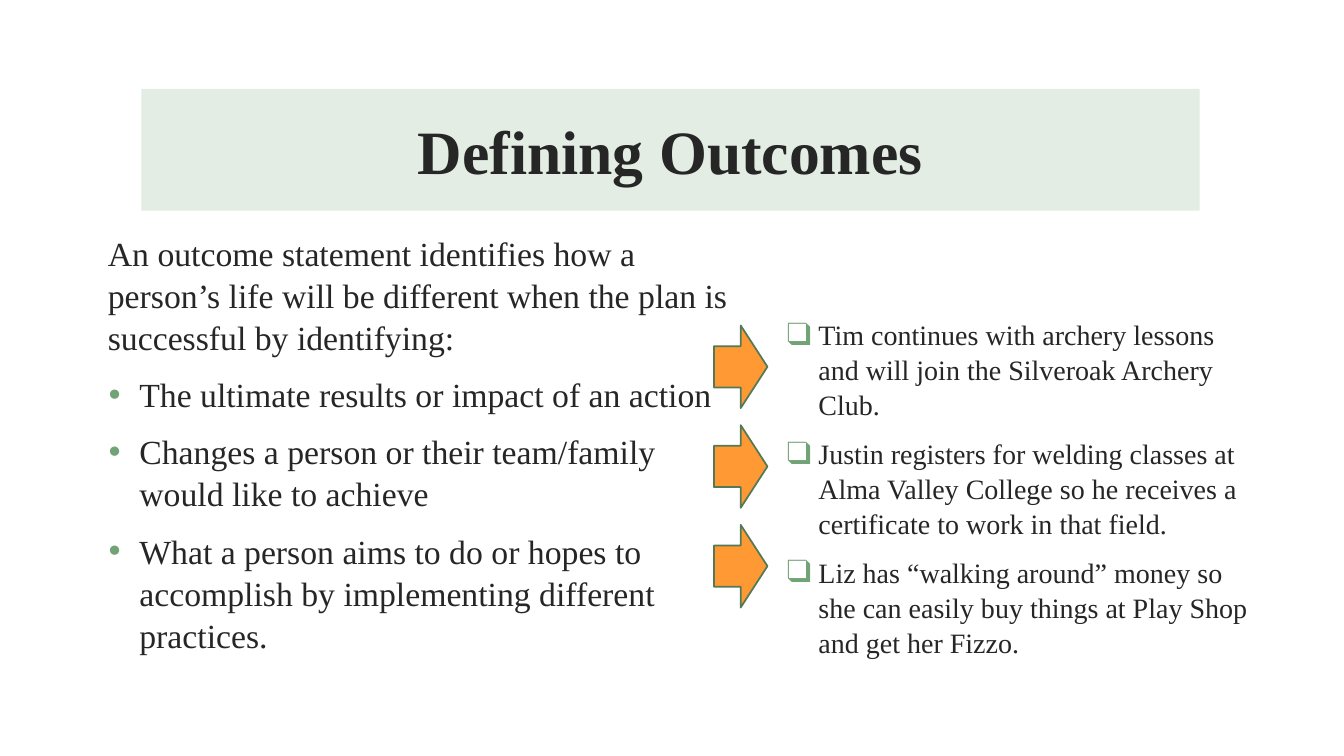
from lxml import etree
from pptx import Presentation
from pptx.dml.color import RGBColor
from pptx.enum.shapes import MSO_SHAPE
from pptx.enum.text import MSO_ANCHOR, PP_ALIGN
from pptx.oxml.ns import qn
from pptx.util import Pt

FONT = "Times New Roman"
INK, BAND, GREEN = "262626", "E3EDE4", "72A376"
ORANGE, ARROW_EDGE = "FF9933", "547957"
INDENT = 22.5

INTRO = ("An outcome statement identifies how a person’s life will be different "
         "when the plan is successful by identifying:")
CRITERIA = [
    "The ultimate results or impact of an action",
    "Changes a person or their team/family would like to achieve",
    "What a person aims to do or hopes to accomplish by implementing different practices.",
]
EXAMPLES = [
    "Tim continues with archery lessons and will join the Silveroak Archery Club.",
    "Justin registers for welding classes at Alma Valley College so he receives a "
    "certificate to work in that field.",
    "Liz has “walking around” money so she can easily buy things at Play Shop "
    "and get her Fizzo.",
]


def color(hex_value):
    return RGBColor.from_string(hex_value)


def add_bullet(paragraph, symbol):
    """Give the paragraph a hanging indent and a green bullet."""
    properties = paragraph._p.get_or_add_pPr()
    properties.set("marL", str(Pt(INDENT)))
    properties.set("indent", str(-Pt(INDENT)))
    bullet_color = etree.SubElement(properties, qn("a:buClr"))
    etree.SubElement(bullet_color, qn("a:srgbClr"), val=GREEN)
    etree.SubElement(properties, qn("a:buSzPct"), val="115000")
    etree.SubElement(properties, qn("a:buFont"), typeface=FONT)
    etree.SubElement(properties, qn("a:buChar"), char=symbol)


class OutcomeSlide:
    def __init__(self, slide):
        self.shapes = slide.shapes

    def style(self, paragraph, size, bold=False):
        for run in paragraph.runs:
            run.font.name = FONT
            run.font.size = Pt(size)
            run.font.bold = bold
            run.font.color.rgb = color(INK)

    def block(self, preset, left, top, width, height, fill, edge=None):
        block = self.shapes.add_shape(preset, Pt(left), Pt(top), Pt(width), Pt(height))
        block.shadow.inherit = False
        block.fill.solid()
        block.fill.fore_color.rgb = color(fill)
        if edge:
            block.line.color.rgb = color(edge)
            block.line.width = Pt(1.25)
        else:
            block.line.fill.background()
        return block

    def title(self, text, left, top, width, height):
        band = self.block(MSO_SHAPE.RECTANGLE, left, top, width, height, BAND)
        frame = band.text_frame
        frame.text = text
        frame.vertical_anchor = MSO_ANCHOR.MIDDLE
        frame.paragraphs[0].alignment = PP_ALIGN.CENTER
        self.style(frame.paragraphs[0], 44, bold=True)

    def passage(self, entries, left, top, width, height, size):
        """Add a text box from (bullet symbol or None, text) pairs."""
        box = self.shapes.add_textbox(Pt(left), Pt(top), Pt(width), Pt(height))
        frame = box.text_frame
        frame.word_wrap = True
        frame.text = "\n".join(text for _, text in entries)
        for paragraph, (symbol, _) in zip(frame.paragraphs, entries):
            paragraph.line_spacing = 1.04
            paragraph.space_before = Pt(size * 0.2)
            paragraph.space_after = Pt(6)
            if symbol:
                add_bullet(paragraph, symbol)
            self.style(paragraph, size)

    def arrow(self, left, top):
        self.block(MSO_SHAPE.RIGHT_ARROW, left, top, 38.2, 59, ORANGE, ARROW_EDGE)


def main():
    presentation = Presentation()
    presentation.slide_width, presentation.slide_height = Pt(960), Pt(540)
    slide = OutcomeSlide(presentation.slides.add_slide(presentation.slide_layouts[6]))

    slide.title("Defining Outcomes", 101, 63.5, 756, 87)
    criteria = [(None, INTRO)] + [("•", text) for text in CRITERIA]
    slide.passage(criteria, 70, 161.5, 468, 301.5, 24.1)
    slide.passage([("❑", text) for text in EXAMPLES], 555, 222.5, 353, 222.5, 20)
    for row in range(len(EXAMPLES)):
        slide.arrow(510, 232.5 + row * 71.2)

    presentation.save("out.pptx")


if __name__ == "__main__":
    main()
